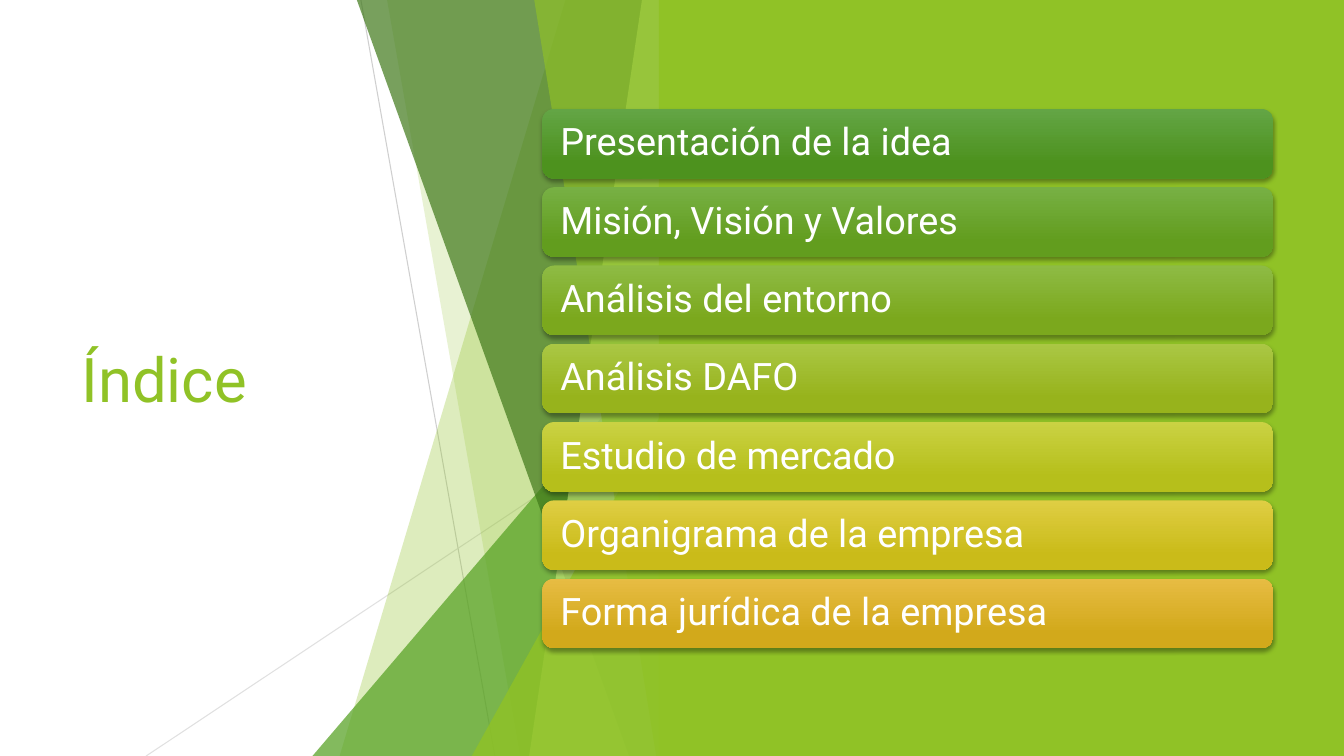
import dataclasses

import lxml.etree
import pptx
import pptx.dml.color
import pptx.enum.shapes
import pptx.enum.text
import pptx.oxml.ns
import pptx.util

Pt = pptx.util.Pt
qn = pptx.oxml.ns.qn
SHAPES = pptx.enum.shapes.MSO_SHAPE


@dataclasses.dataclass(frozen=True)
class Theme:
    """Colours and type sizes of the slide."""
    font: str = "Roboto"
    title_size: float = 44
    topic_size: float = 27
    lime: str = "90C226"
    green: str = "54A021"
    forest: str = "3F7819"
    pale: str = "C0E474"
    white: str = "FFFFFF"
    shadow: str = "000000"
    rays: tuple = ("BFBFBF", "D9D9D9")
    bars: tuple = (("63A545", "4D921E"), ("77B044", "629D1E"), ("8EBB44", "7BA81D"),
                   ("AAC744", "97B31C"), ("CAD243", "B6BF1B"), ("DFCE43", "CABB19"),
                   ("E7BC43", "D2A91B"))


THEME = Theme()
TOPICS = ("Presentación de la idea", "Misión, Visión y Valores", "Análisis del entorno",
          "Análisis DAFO", "Estudio de mercado", "Organigrama de la empresa",
          "Forma jurídica de la empresa")


def rgb(code):
    """Return the colour object for a hex code."""
    return pptx.dml.color.RGBColor.from_string(code)


def apply(target, values):
    """Set each named attribute on the target."""
    for name, value in values.items():
        setattr(target, name, value)


def set_alpha(parent, percent):
    """Give the colour inside the parent element an opacity."""
    for colour in parent.iter(qn("a:srgbClr")):
        lxml.etree.SubElement(colour, qn("a:alpha")).set("val", str(percent * 1000))


def paint(shape, code, opacity=100):
    """Fill a shape with a flat colour and no outline."""
    shape.shadow.inherit = False
    shape.fill.solid()
    shape.fill.fore_color.rgb = rgb(code)
    shape.line.fill.background()
    if opacity < 100:
        set_alpha(shape._element.spPr, opacity)


def write(shape, text, size, code, frame_format, paragraph_format):
    """Put one formatted paragraph into a shape."""
    frame = shape.text_frame
    apply(frame, {"word_wrap": True,
                  "vertical_anchor": pptx.enum.text.MSO_ANCHOR.MIDDLE, **frame_format})
    paragraph = frame.paragraphs[0]
    apply(paragraph, {"alignment": pptx.enum.text.PP_ALIGN.LEFT, **paragraph_format})
    run = paragraph.add_run()
    run.text = text
    apply(run.font, {"name": THEME.font, "size": Pt(size)})
    run.font.color.rgb = rgb(code)


def add_ray(slide, start, end, code, opacity):
    """Draw a thin translucent line."""
    ray = slide.shapes.add_connector(pptx.enum.shapes.MSO_CONNECTOR.STRAIGHT,
                                     *map(Pt, (*start, *end)))
    ray.line.width = Pt(0.75)
    ray.line.color.rgb = rgb(code)
    properties = ray._element.spPr
    set_alpha(properties, opacity)
    lxml.etree.SubElement(properties, qn("a:effectLst"))


def add_facets(slide, left, top, width, height):
    """Draw the rays and overlapping facets against the right edge of the box."""
    right, bottom = left + width, top + height
    add_ray(slide, (left + 153.4, top), (left + 249.1, bottom), THEME.rays[0], 75)
    add_ray(slide, (right, top + 290.2), (left, bottom), THEME.rays[1], 80)

    def blade(upper, lower, code, opacity):
        """Draw a facet with a slanted left side."""
        builder = slide.shapes.build_freeform(Pt(left + upper), Pt(top))
        builder.add_line_segments([(Pt(right), Pt(top)), (Pt(right), Pt(bottom)),
                                   (Pt(left + lower), Pt(bottom))])
        paint(builder.convert_to_shape(), code, opacity)

    def wedge(inset, drop, code, opacity):
        """Draw a triangle that peaks at the right edge."""
        triangle = slide.shapes.add_shape(
            SHAPES.ISOSCELES_TRIANGLE,
            *map(Pt, (left + inset, top + drop, width - inset, height - drop)))
        triangle.adjustments[0] = 1
        paint(triangle, code, opacity)

    for draw, *facet in (
        (blade, 299.5, 138.2, THEME.lime, 30),
        (blade, 172.1, 267.1, THEME.lime, 20),
        (wedge, 118.8, 239.8, THEME.green, 72),
        (blade, 150.5, 344.9, THEME.forest, 70),
        (blade, 354.2, 273.6, THEME.pale, 70),
        (blade, 277.2, 364.3, THEME.lime, 65),
        (wedge, 232.6, 283, THEME.lime, 80),
    ):
        draw(*facet)


def add_panel(slide, left, top, width, height):
    """Draw the plain panel behind the topics."""
    panel = slide.shapes.add_shape(SHAPES.RECTANGLE, *map(Pt, (left, top, width, height)))
    paint(panel, THEME.lime)


def add_title(slide, left, top, width, height):
    """Write the slide title."""
    title = slide.shapes.add_textbox(*map(Pt, (left, top, width, height)))
    write(title, "Índice", THEME.title_size, THEME.lime, {}, {})


def add_topics(slide, left, top, width, height):
    """Stack one shaded bar per topic, evenly spaced in the box."""
    bar_height = 49.7
    pitch = (height - bar_height) / (len(TOPICS) - 1)
    for row, (topic, shades) in enumerate(zip(TOPICS, THEME.bars)):
        bar = slide.shapes.add_shape(
            SHAPES.ROUNDED_RECTANGLE, *map(Pt, (left, top + row * pitch, width, bar_height)))
        bar.line.fill.background()
        bar.fill.gradient()
        bar.fill.gradient_angle = 270
        for stop, shade, position in zip(bar.fill.gradient_stops, shades, (0, 0.78)):
            stop.color.rgb = rgb(shade)
            stop.position = position
        add_shadow(bar)
        write(bar, topic, THEME.topic_size, THEME.white,
              {"margin_left": Pt(10.4), "margin_right": Pt(10.4)}, {"line_spacing": 0.9})


def add_shadow(bar):
    """Cast a soft shadow below a bar."""
    bar.shadow.inherit = False
    effects = bar._element.spPr.find(qn("a:effectLst"))
    shadow = lxml.etree.SubElement(effects, qn("a:outerShdw"))
    for name, value in {"blurRad": Pt(3), "dist": Pt(2), "dir": 5400000,
                        "rotWithShape": 0}.items():
        shadow.set(name, str(int(value)))
    lxml.etree.SubElement(shadow, qn("a:srgbClr")).set("val", THEME.shadow)
    set_alpha(shadow, 35)


def main():
    """Build and save the slide."""
    deck = pptx.Presentation()
    apply(deck, {"slide_width": Pt(960), "slide_height": Pt(540)})
    slide = deck.slides.add_slide(deck.slide_layouts[6])
    add_title(slide, 51.1, 108.7, 279.4, 322.6)
    add_facets(slide, 104.4, 0, 375.2, 540)
    add_panel(slide, 470.6, 0, 489.4, 540)
    add_topics(slide, 387.4, 77.8, 522, 385.2)
    deck.save("out.pptx")


if __name__ == "__main__":
    main()
